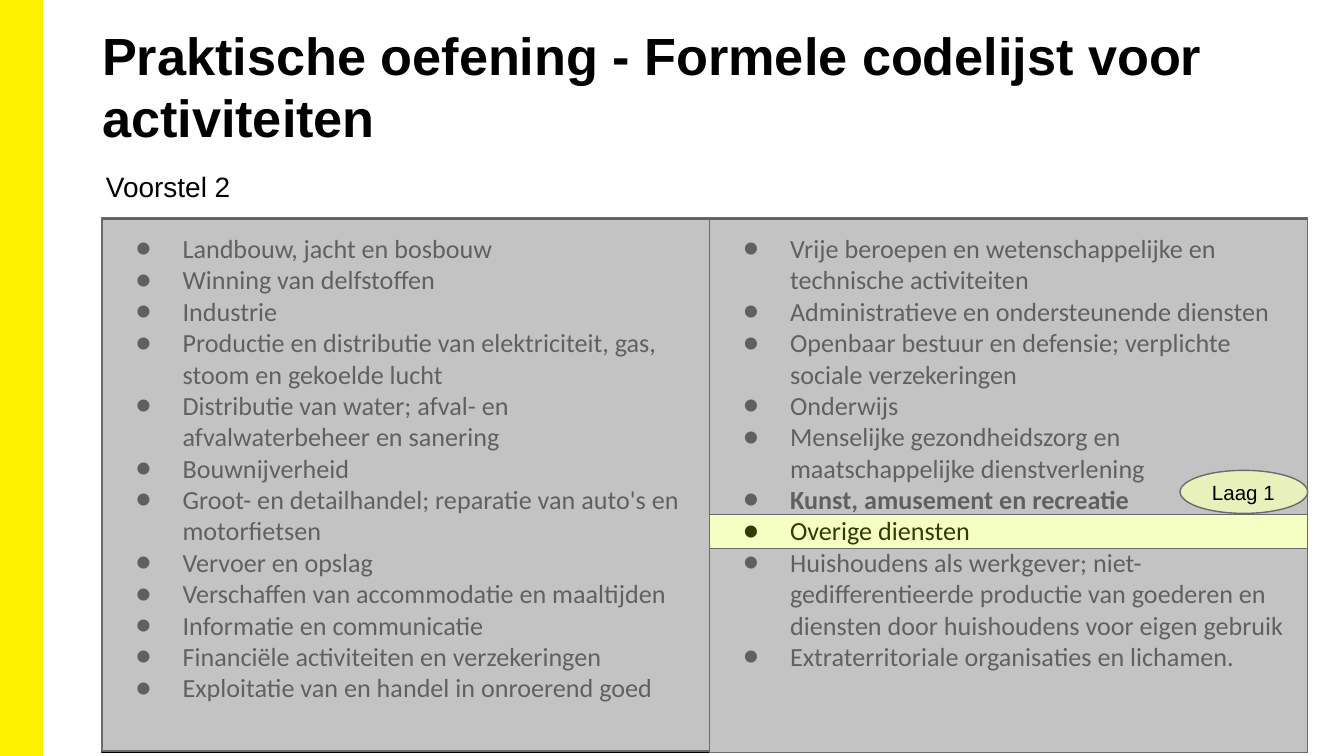
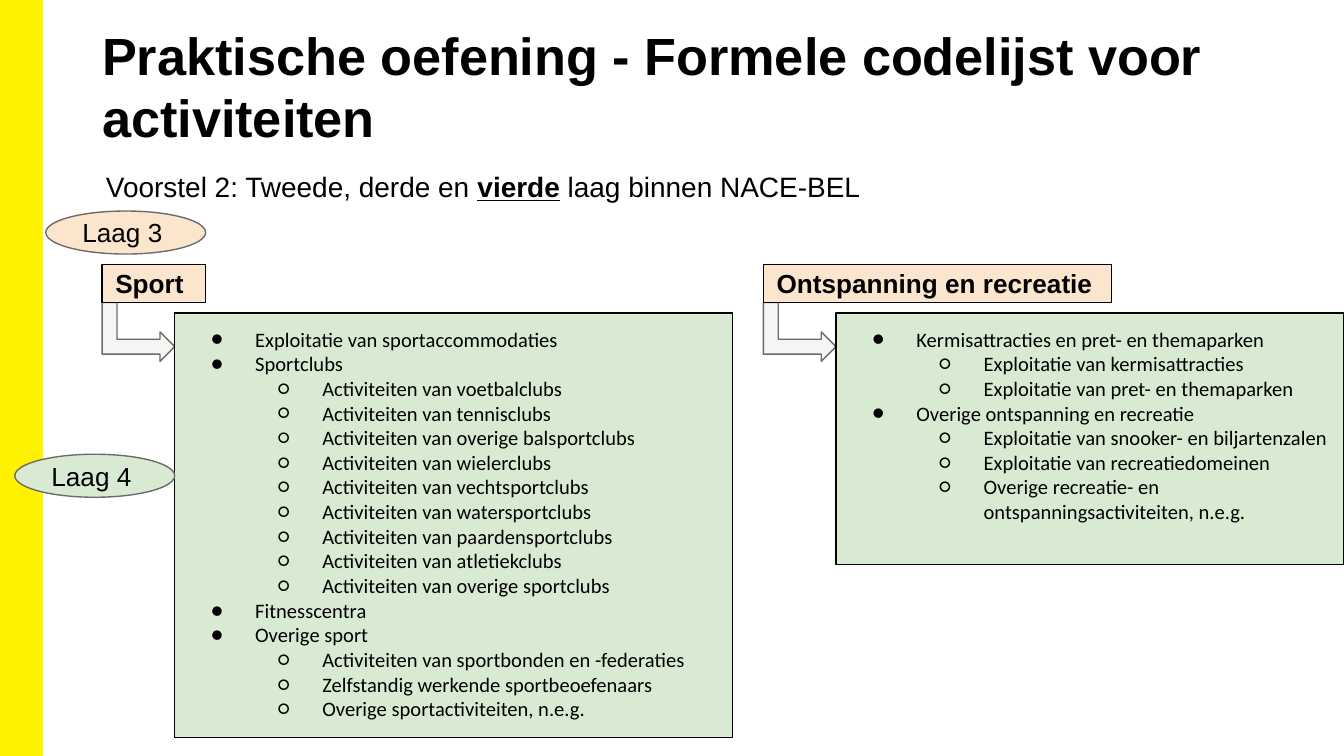
from lxml.etree import SubElement as Sub
from pptx import Presentation
from pptx.dml.color import RGBColor as Rgb
from pptx.enum.shapes import MSO_SHAPE as Geo
from pptx.enum.text import MSO_ANCHOR as Anchor, MSO_AUTO_SIZE as Auto, PP_ALIGN as Align
from pptx.oxml.ns import qn
from pptx.util import Inches, Pt

HUES = {
    "black": "000000",
    "band": "FFF200",
    "edge": "6B6B6B",
    "veil": "9E9E9E",
    "mark": "D4FF00",
    "lime": "E8F1BC",
    "peach": "FCE5CD",
    "green": "D9EAD3",
    "arrow": "F6F5F3",
}
TITLE = "Praktische oefening - Formele codelijst voor activiteiten"
SPLIT, TOP, TALL = 5.28, 1.63, 3.97

LEFT = [
    "Landbouw, jacht en bosbouw",
    "Winning van delfstoffen",
    "Industrie",
    "Productie en distributie van elektriciteit, gas, stoom en gekoelde lucht",
    "Distributie van water; afval- en afvalwaterbeheer en sanering",
    "Bouwnijverheid",
    "Groot- en detailhandel; reparatie van auto's en motorfietsen",
    "Vervoer en opslag",
    "Verschaffen van accommodatie en maaltijden",
    "Informatie en communicatie",
    "Financiële activiteiten en verzekeringen",
    "Exploitatie van en handel in onroerend goed",
]
CHOSEN = "Kunst, amusement en recreatie"
RIGHT = [
    "Vrije beroepen en wetenschappelijke en technische activiteiten",
    "Administratieve en ondersteunende diensten",
    "Openbaar bestuur en defensie; verplichte sociale verzekeringen",
    "Onderwijs",
    "Menselijke gezondheidszorg en maatschappelijke dienstverlening",
    CHOSEN,
    "Overige diensten",
    "Huishoudens als werkgever; niet-gedifferentieerde productie van goederen "
    "en diensten door huishoudens voor eigen gebruik",
    "Extraterritoriale organisaties en lichamen.",
]
SPORT = [
    ("Exploitatie van sportaccommodaties", []),
    ("Sportclubs", [
        "Activiteiten van " + club for club in (
            "voetbalclubs", "tennisclubs", "overige balsportclubs",
            "wielerclubs", "vechtsportclubs", "watersportclubs",
            "paardensportclubs", "atletiekclubs", "overige sportclubs")]),
    ("Fitnesscentra", []),
    ("Overige sport", [
        "Activiteiten van sportbonden en -federaties",
        "Zelfstandig werkende sportbeoefenaars",
        "Overige sportactiviteiten, n.e.g."]),
]
LEISURE = [
    ("Kermisattracties en pret- en themaparken", [
        "Exploitatie van kermisattracties",
        "Exploitatie van pret- en themaparken"]),
    ("Overige ontspanning en recreatie", [
        "Exploitatie van snooker- en biljartenzalen",
        "Exploitatie van recreatiedomeinen",
        "Overige recreatie- en ontspanningsactiviteiten, n.e.g."]),
]


def hue(name):
    return Rgb.from_string(HUES[name])


def setup(frame, pads, anchor=Anchor.TOP):
    frame.word_wrap = True
    frame.auto_size = Auto.NONE
    frame.vertical_anchor = anchor
    (frame.margin_left, frame.margin_top,
     frame.margin_right, frame.margin_bottom) = map(Inches, pads)


def write(para, text, size, face="Arial", bold=False, under=False):
    para.alignment = Align.LEFT
    run = para.add_run()
    run.text = text
    font = run.font
    font.name, font.size, font.bold, font.underline = face, Pt(size), bold, under
    font.color.rgb = hue("black")


def shape(slide, geo, box, fill=None, line="black", width=0.75, alpha=None):
    item = slide.shapes.add_shape(geo, *map(Inches, box))
    item.shadow.inherit = False
    if fill:
        item.fill.solid()
        item.fill.fore_color.rgb = hue(fill)
    else:
        item.fill.background()
    if alpha:
        color = item.fill._xPr.find(".//" + qn("a:srgbClr"))
        Sub(color, qn("a:alpha"), val=str(alpha * 1000))
    item.line.color.rgb = hue(line)
    item.line.width = Pt(width)
    return item


def bullet(para, level, hang):
    para.level = level
    props = para._p.get_or_add_pPr()
    props.set("marL", str(Inches(0.5 * (level + 1))))
    props.set("indent", str(-Inches(hang)))
    tint = Sub(props, qn("a:buClr"))
    Sub(tint, qn("a:srgbClr"), val=HUES["black"])
    Sub(props, qn("a:buFont"), typeface="Calibri")
    Sub(props, qn("a:buChar"), char="●○"[level])


def panel(slide, box, rows, size, hang, fill=None):
    frame = shape(slide, Geo.RECTANGLE, box, fill).text_frame
    setup(frame, [0.1] * 4)
    for spot, (level, text) in enumerate(rows):
        para = frame.add_paragraph() if spot else frame.paragraphs[0]
        bullet(para, level, hang)
        write(para, text, size, "Calibri", text == CHOSEN)


def flat(tree):
    for head, subs in tree:
        yield 0, head
        for sub in subs:
            yield 1, sub


def oval(slide, box, text, size, fill):
    frame = shape(slide, Geo.OVAL, box, fill, "edge").text_frame
    setup(frame, (0.1, 0.1, 0.05, 0.1), Anchor.MIDDLE)
    write(frame.paragraphs[0], text, size)


def group(slide, left, wide, head, box, tree):
    arrow = shape(slide, Geo.BENT_UP_ARROW, (left + 0.05, 2.2, 0.44, 0.54),
                  "arrow", "edge")
    arrow.rotation = 90
    frame = shape(slide, Geo.RECTANGLE, (left, 1.97, wide, 0.28), "peach").text_frame
    setup(frame, (0.1, 0.02, 0.1, 0.02))
    write(frame.paragraphs[0], head, 14, bold=True)
    panel(slide, box, flat(tree), 11, 0.33, "green")


def start(deck, parts):
    slide = deck.slides.add_slide(deck.slide_layouts[5])
    band = shape(slide, Geo.RECTANGLE, (0, 0, 0.31, 5.62), "band", "band", 1)
    band.height = deck.slide_height
    title = slide.shapes.title
    title.left, title.top, title.width, title.height = map(
        Inches, (0.69, 0.13, 8.62, 1.48))
    setup(title.text_frame, (0.07, 0.04, 0.07, 0.04))
    para = title.text_frame.paragraphs[0]
    para.line_spacing = 1.0
    write(para, TITLE, 28, bold=True)
    note = slide.shapes.add_textbox(*map(Inches, (0.69, 1.16, 8.84, 0.45)))
    setup(note.text_frame, [0.1] * 4)
    for text, strong in parts:
        write(note.text_frame.paragraphs[0], text, 15, bold=strong, under=strong)
    return slide


def sectors(deck):
    slide = start(deck, [("Voorstel 2", False)])
    for left, wide, rows in ((SPLIT, 4.45, RIGHT), (0.76, 4.52, LEFT)):
        panel(slide, (left, TOP, wide, TALL), [(0, row) for row in rows], 14, 0.35)
    shape(slide, Geo.RECTANGLE, (SPLIT, 3.83, 4.45, 0.25), "mark", "edge", alpha=23)
    for box in ((0.76, 1.62, 4.52, TALL),
                (SPLIT, 1.62, 4.45, 2.21),
                (SPLIT, 4.08, 4.45, 1.52)):
        shape(slide, Geo.RECTANGLE, box, "veil", "edge", alpha=61)
    oval(slide, (8.78, 3.5, 0.95, 0.32), "Laag 1", 11, "lime")


def layers(deck):
    slide = start(deck, [("Voorstel 2: Tweede, derde en ", False),
                         ("vierde", True),
                         (" laag binnen NACE-BEL", False)])
    group(slide, 0.76, 0.77, "Sport", (1.3, 2.33, 4.15, 3.16), SPORT)
    group(slide, 5.68, 2.59, "Ontspanning en recreatie",
          (6.22, 2.33, 3.78, 1.87), LEISURE)
    oval(slide, (0.34, 1.57, 1.19, 0.32), "Laag 3", 14, "peach")
    oval(slide, (0.11, 3.38, 1.19, 0.32), "Laag 4", 14, "green")


def main():
    deck = Presentation()
    deck.slide_width = Inches(10)
    deck.slide_height = deck.slide_width * 9 // 16
    sectors(deck)
    layers(deck)
    deck.save("out.pptx")


if __name__ == "__main__":
    main()
